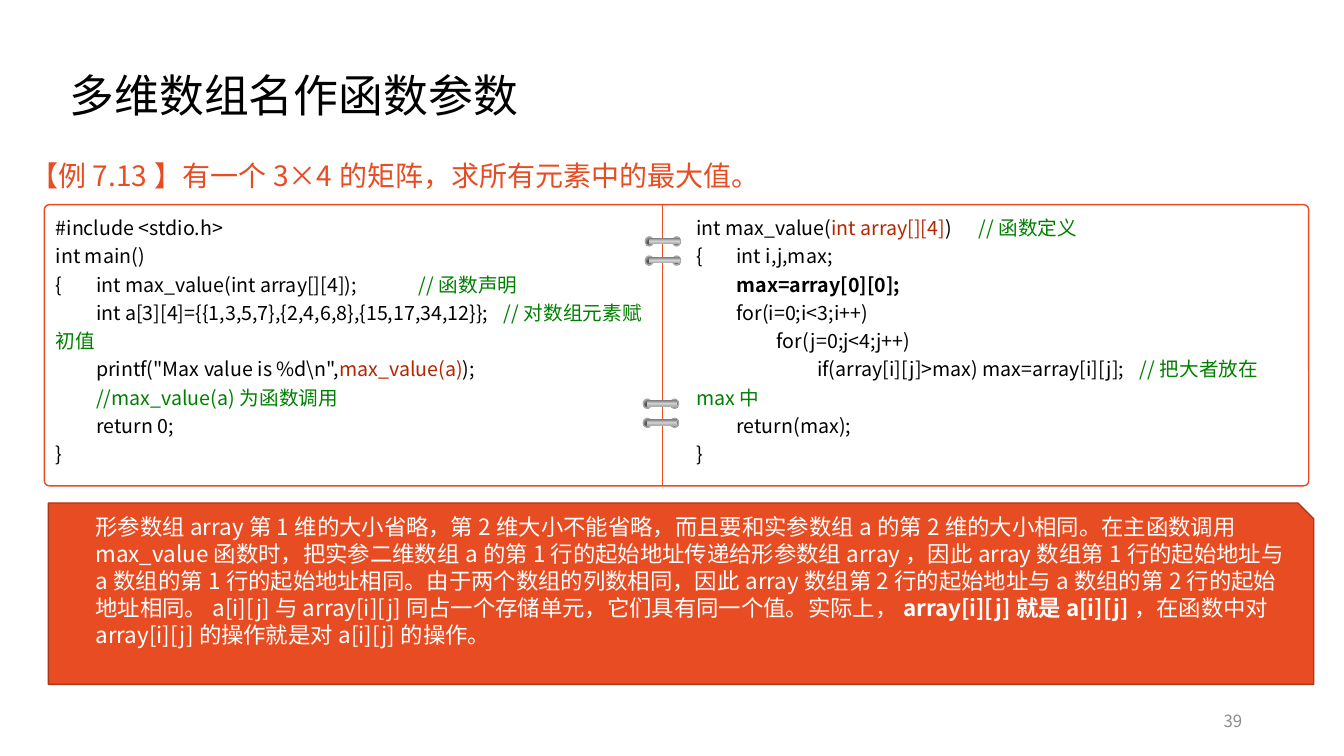
from pptx import Presentation
from pptx.dml.color import RGBColor
from pptx.enum.shapes import MSO_CONNECTOR, MSO_SHAPE
from pptx.enum.text import MSO_ANCHOR, PP_ALIGN
from pptx.oxml import parse_xml
from pptx.oxml.ns import nsdecls, qn
from pptx.oxml.xmlchemy import OxmlElement
from pptx.util import Inches, Pt

TOP, MIDDLE = MSO_ANCHOR.TOP, MSO_ANCHOR.MIDDLE
LEFT, RIGHT = PP_ALIGN.LEFT, PP_ALIGN.RIGHT
FONT = "Noto Sans CJK SC"
COLORS = {
    "black": "000000", "white": "FFFFFF", "orange": "E84C22", "rust": "AC3819",
    "green": "008000", "red": "B22600", "gray": "8C8C8C", "ring": "A9A9A9",
}
HOLE = ([(20, "808080"), (51, "525252"), (86, "A5A5A5")],
        '<a:path path="circle"><a:fillToRect l="100000" t="100000"/></a:path>')
BAR = ([(9, "808080"), (57, "D2D2D2"), (98, "AEAEAE")], '<a:lin ang="5400000" scaled="0"/>')


def write(para, spans, size, spacing=None, align=LEFT):
    """Fill a paragraph from (text, colour name, bold) spans."""
    para.alignment = align
    if spacing:
        para.line_spacing = spacing
    for text, color, bold in spans:
        span = para.add_run()
        span.text = text
        span.font.color.rgb = RGBColor.from_string(COLORS[color])
        for name, value in {"size": Pt(size), "name": FONT, "bold": bold}.items():
            setattr(span.font, name, value)
        east_asian = OxmlElement("a:ea")
        east_asian.set("typeface", FONT)
        span.font._element.find(qn("a:latin")).addnext(east_asian)


def add_panel(kind, left, top, width, height, fill, line):
    """Add a shape; fill is a colour name or a (stops, direction) gradient."""
    panel = slide.shapes.add_shape(kind, Inches(left), Inches(top), Inches(width), Inches(height))
    panel.shadow.inherit = False
    if isinstance(fill, str):
        panel.fill.solid()
        panel.fill.fore_color.rgb = RGBColor.from_string(COLORS[fill])
    else:
        stops, direction = fill
        marks = "".join(f'<a:gs pos="{pos * 1000}"><a:srgbClr val="{color}"/></a:gs>'
                        for pos, color in stops)
        panel.fill.gradient()
        properties = panel._element.spPr
        properties.replace(properties.find(qn("a:gradFill")), parse_xml(
            f'<a:gradFill {nsdecls("a")} rotWithShape="1"><a:gsLst>{marks}</a:gsLst>{direction}</a:gradFill>'))
    if line:
        panel.line.color.rgb = RGBColor.from_string(COLORS[line])
        panel.line.width = Pt(1)
    else:
        panel.line.fill.background()
    return panel


deck = Presentation()
deck.slide_width, deck.slide_height = Inches(13.33), Inches(7.5)
slide = deck.slides.add_slide(deck.slide_layouts[5])

# Title
title = slide.shapes.title
title.left, title.top, title.width, title.height = map(Inches, (0.59, 0.25, 11.5, 1.45))
title.text_frame.vertical_anchor = MIDDLE
write(title.text_frame.paragraphs[0], [("多维数组名作函数参数", "black", False)], 32, 0.9)

# Explanation panel
note_panel = add_panel(MSO_SHAPE.SNIP_1_RECTANGLE, 0.48, 4.99, 12.55, 1.8, "orange", "rust")
note_panel.adjustments[0] = 0.088

# Text boxes: place, anchor, spans, size, line spacing, alignment
note = [
    ("形参数组array第1维的大小省略，第2维大小不能省略，而且要和实参数组a的第2维的大小相同。"
     "在主函数调用max_value函数时，把实参二维数组a的第1行的起始地址传递给形参数组array，"
     "因此array数组第1行的起始地址与a数组的第1行的起始地址相同。由于两个数组的列数相同，"
     "因此array数组第2行的起始地址与a数组的第2行的起始地址相同。"
     "a[i][j]与array[i][j]同占一个存储单元，它们具有同一个值。实际上，", "white", False),
    ("array[i][j]就是a[i][j]", "white", True),
    ("，在函数中对array[i][j]的操作就是对a[i][j]的操作。", "white", False),
]
example = [("【例7.13】有一个3×4的矩阵，求所有元素中的最大值。", "orange", False)]
for place, anchor, spans, size, spacing, align in [
    ((0.2, 1.36, 8.95, 0.6), TOP, example, 20, Pt(36), LEFT),
    ((0.85, 5.04, 12.09, 1.45), TOP, note, 16, Pt(19.3), LEFT),
    ((9.42, 6.95, 3, 0.4), MIDDLE, [("39", "gray", False)], 12, None, RIGHT),
]:
    box = slide.shapes.add_textbox(*map(Inches, place))
    box.text_frame.word_wrap = True
    box.text_frame.vertical_anchor = anchor
    write(box.text_frame.paragraphs[0], spans, size, spacing, align)

# Code in two columns
code_lines = [
    [("#include <stdio.h>", "black")],
    [("int main()", "black")],
    [("{\tint max_value(int array[][4]);\t\t", "black"), ("//函数声明", "green")],
    [("\tint a[3][4]={{1,3,5,7},{2,4,6,8},{15,17,34,12}};\t ", "black"), ("//对数组元素赋初值", "green")],
    [('\tprintf("Max value is %d\\n",', "black"), ("max_value(a)", "red"), (");", "black")],
    [("\t//max_value(a)为函数调用", "green")],
    [("\treturn 0;", "black")],
    [("}", "black")],
    [("int max_value(", "black"), ("int array[][4]", "red"), (")\t", "black"), ("//函数定义", "green")],
    [("{\tint i,j,max;", "black")],
    [("\tmax=array[0][0];", "black")],
    [("\tfor(i=0;i<3;i++)", "black")],
    [("\t\tfor(j=0;j<4;j++)", "black")],
    [("\t\t\tif(array[i][j]>max) max=array[i][j];\t", "black"), ("//把大者放在max中", "green")],
    [("\treturn(max);", "black")],
    [("}", "black")],
]
code_panel = add_panel(MSO_SHAPE.ROUNDED_RECTANGLE, 0.44, 2.03, 12.54, 2.79, "white", "orange")
code_panel.adjustments[0] = 0.018
frame = code_panel.text_frame
frame.word_wrap = True
frame.vertical_anchor = TOP
columns = frame._txBody.bodyPr
columns.set("numCol", "2")
columns.set("spcCol", str(Inches(0.39)))
for index, code_line in enumerate(code_lines):
    para = frame.paragraphs[0] if index == 0 else frame.add_paragraph()
    stops = OxmlElement("a:tabLst")
    for step in range(1, 15):
        stop = OxmlElement("a:tab")
        stop.set("pos", str(Inches(0.4) * step))
        stop.set("algn", "l")
        stops.append(stop)
    para._p.get_or_add_pPr().append(stops)
    write(para, [(text, color, text.startswith("\tmax=")) for text, color in code_line], 14, Pt(20.2))

# Divider and binder rings
divider = slide.shapes.add_connector(
    MSO_CONNECTOR.STRAIGHT, Inches(6.57), Inches(2.02), Inches(6.57), Inches(4.82))
divider.line.color.rgb = RGBColor.from_string(COLORS["orange"])
divider.line.width = Pt(0.5)
divider._element.spPr.append(OxmlElement("a:effectLst"))
for left, first_top in [(6.4, 2.35), (6.38, 3.96)]:
    for top in (first_top, first_top + 0.19):
        for hole_left in (left + 0.27, left):
            add_panel(MSO_SHAPE.OVAL, hole_left, top, 0.08, 0.09, HOLE, "ring")
        add_panel(MSO_SHAPE.RECTANGLE, left + 0.04, top + 0.01, 0.3, 0.06, BAR, None)

deck.save("out.pptx")
